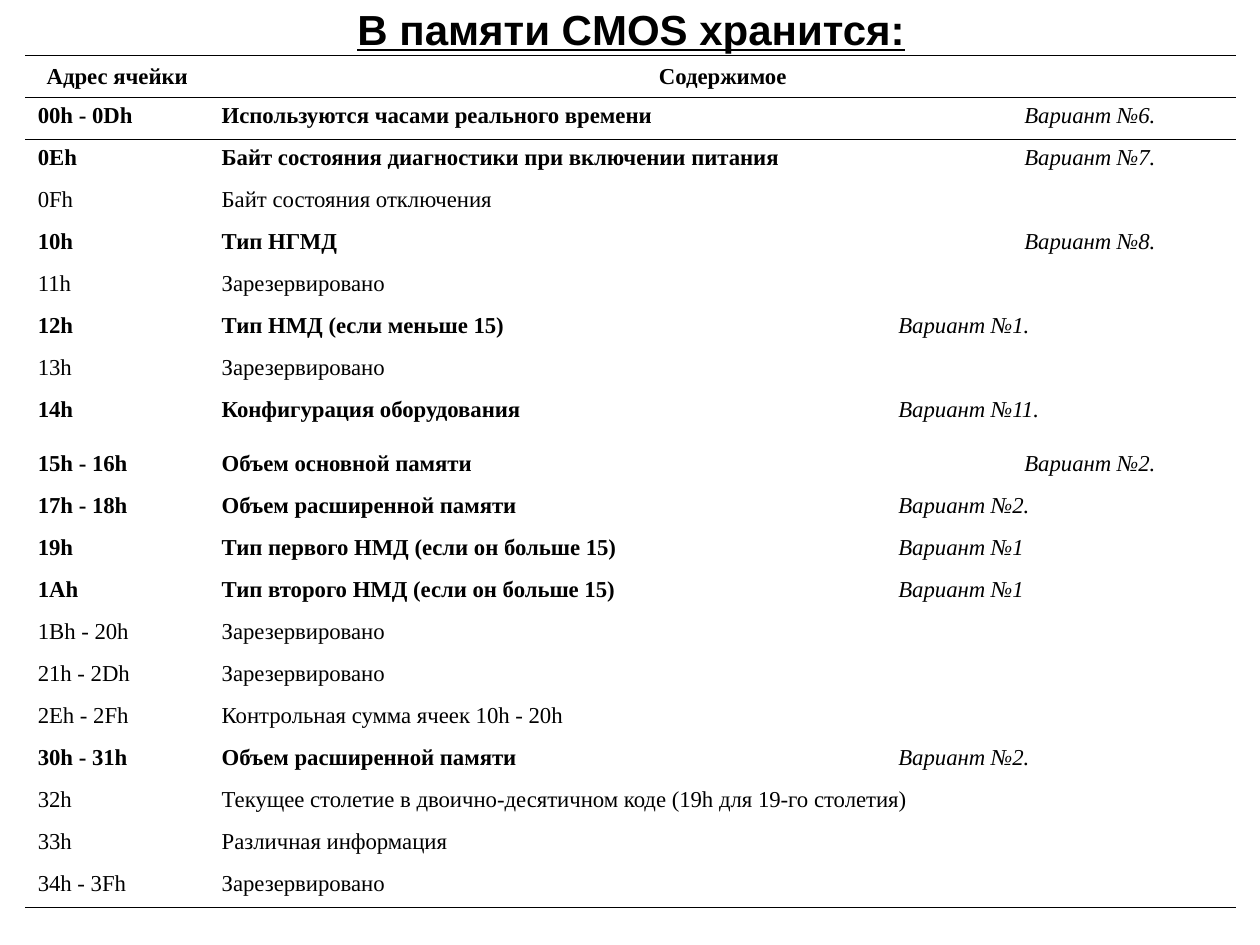
from lxml import etree
from pptx import Presentation
from pptx.dml.color import RGBColor
from pptx.enum.text import MSO_ANCHOR, PP_ALIGN
from pptx.oxml.ns import qn
from pptx.util import Inches, Pt

CENTER = PP_ALIGN.CENTER
MIDDLE = MSO_ANCHOR.MIDDLE
COLORS = {"ink": "000000"}
PLAIN = "{2D5ABB26-0587-4C30-8999-92F81FD0307C}"
NEAR, FAR = 5.37, 6.37
ROW, TALL = 1 / 3, 0.43
HEAD = ("Адрес ячейки", "Содержимое")
CELLS = [
    ("00h - 0Dh", "Используются часами реального времени", "Вариант №6.", FAR),
    ("0Eh", "Байт состояния диагностики при включении питания", "Вариант №7.", FAR),
    ("0Fh", "Байт состояния отключения"),
    ("10h", "Тип НГМД", "Вариант №8.", FAR),
    ("11h", "Зарезервировано"),
    ("12h", "Тип НМД (если меньше 15)", "Вариант №1.", NEAR),
    ("13h", "Зарезервировано"),
    ("14h", "Конфигурация оборудования", "Вариант №11.", NEAR),
    ("15h - 16h", "Объем основной памяти", "Вариант №2.", FAR),
    ("17h - 18h", "Объем расширенной памяти", "Вариант №2.", NEAR),
    ("19h", "Тип первого НМД (если он больше 15)", "Вариант №1", NEAR),
    ("1Ah", "Тип второго НМД (если он больше 15)", "Вариант №1", NEAR),
    ("1Bh - 20h", "Зарезервировано"),
    ("21h - 2Dh", "Зарезервировано"),
    ("2Eh - 2Fh", "Контрольная сумма ячеек 10h - 20h"),
    ("30h - 31h", "Объем расширенной памяти", "Вариант №2.", NEAR),
    ("32h", "Текущее столетие в двоично-десятичном коде (19h для 19-го столетия)"),
    ("33h", "Различная информация"),
    ("34h - 3Fh", "Зарезервировано"),
]


def style(para, face, size, bold):
    """Set the font of a whole paragraph."""
    font = para.font
    font.name, font.size, font.bold = face, Pt(size), bold
    font.color.rgb = RGBColor.from_string(COLORS["ink"])


def add_title(slide, text):
    """Add the underlined heading."""
    box = slide.shapes.add_textbox(Inches(0.51), 0, Inches(9), Inches(0.46))
    frame = box.text_frame
    frame.word_wrap = True
    frame.vertical_anchor = MIDDLE
    para = frame.paragraphs[0]
    para.text = text
    para.alignment = CENTER
    style(para, "Arial", 24, True)
    para.font.underline = True


def add_rule(cell, side):
    """Draw a thin line on one side of a cell."""
    props = cell._tc.get_or_add_tcPr()
    line = etree.SubElement(props, qn(f"a:ln{side}"), w=str(Pt(0.45)))
    fill = etree.SubElement(line, qn("a:solidFill"))
    etree.SubElement(fill, qn("a:srgbClr"), val=COLORS["ink"])


def add_tab(para, pos):
    """Add one left tab stop to a paragraph."""
    tabs = etree.SubElement(para._p.get_or_add_pPr(), qn("a:tabLst"))
    etree.SubElement(tabs, qn("a:tab"), pos=str(Inches(pos)), algn="l")


def fill_cell(cell, text, bold, rules, note=None, stop=None):
    """Write a cell with its rules and an optional italic note."""
    for side in rules:
        add_rule(cell, side)
    cell.fill.background()
    para = cell.text_frame.paragraphs[0]
    if note:
        add_tab(para, stop)
    style(para, "Times New Roman", 13, bold)
    para.add_run().text = text + ("\t" if note else "")
    if note:
        run = para.add_run()
        run.text = note
        run.font.bold, run.font.italic = False, True
    return para


def add_grid(slide):
    """Add the table of memory cells."""
    count = len(CELLS) + 1
    frame = slide.shapes.add_table(
        count, 2, Inches(0.2), Inches(0.44),
        Inches(9.61), Inches(ROW * (count - 1) + TALL))
    table = frame.table
    table.first_row = table.horz_banding = False
    table._tbl.tblPr.find(qn("a:tableStyleId")).text = PLAIN
    for col, width in zip(table.columns, (1.46, 8.15)):
        col.width = Inches(width)
    for row in table.rows:
        row.height = Inches(ROW)
    for cell, text in zip(table.rows[0].cells, HEAD):
        fill_cell(cell, text, True, "TB").alignment = CENTER
        cell.vertical_anchor = MIDDLE
    for num, (code, text, *note) in enumerate(CELLS, 1):
        rules = "T" if num == 1 else "B" if num == count - 1 else ""
        fill_cell(table.cell(num, 0), code, bool(note), rules)
        fill_cell(table.cell(num, 1), text, bool(note), rules, *note)
        if code == "14h":
            table.rows[num].height = Inches(TALL)


def main():
    """Build and save the slide."""
    deck = Presentation()
    deck.slide_width, deck.slide_height = Inches(10), Inches(7.5)
    slide = deck.slides.add_slide(deck.slide_layouts[6])
    add_title(slide, "В памяти CMOS хранится:")
    add_grid(slide)
    deck.save("out.pptx")


if __name__ == "__main__":
    main()
